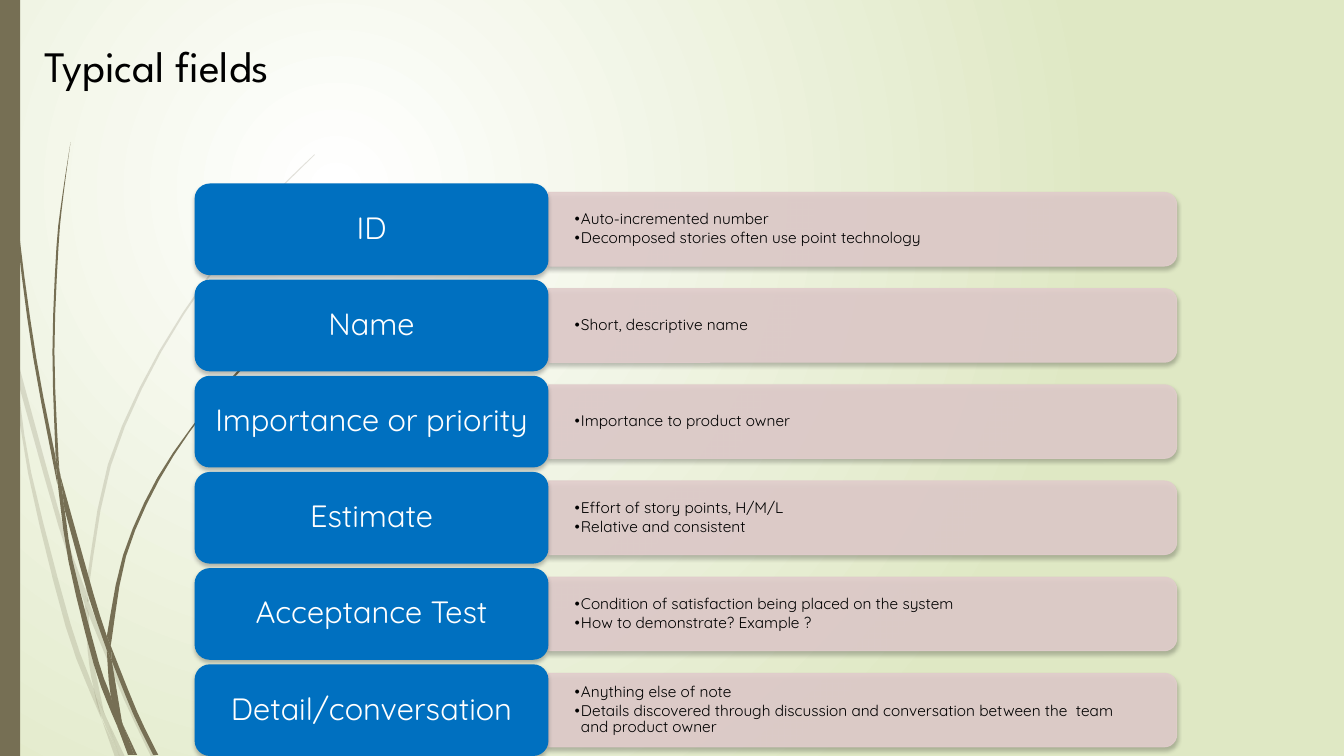
"""Build the slide on the typical fields of a user story."""
from dataclasses import dataclass

from lxml.etree import SubElement
from pptx import Presentation
from pptx.dml.color import RGBColor
from pptx.enum.shapes import MSO_SHAPE as Preset
from pptx.enum.text import MSO_ANCHOR as Anchor, MSO_AUTO_SIZE as AutoSize, PP_ALIGN as Align
from pptx.oxml.ns import qn
from pptx.util import Inches, Pt

TITLE = "Typical fields"
FIELDS = [
    ("ID", ["Auto-incremented number", "Decomposed stories often use point technology"]),
    ("Name", ["Short, descriptive name"]),
    ("Importance or priority", ["Importance to product owner"]),
    ("Estimate", ["Effort of story points, H/M/L", "Relative and consistent"]),
    ("Acceptance Test", ["Condition of satisfaction being placed on the system",
                         "How to demonstrate? Example ?"]),
    ("Detail/conversation", [
        "Anything else of note",
        "Details discovered through discussion and conversation between the  team and product owner",
    ]),
]
PALE_BLADES = [
    ([(0.11, 3.5), (0.09, 3.22), (0, 2.82)], [(0, 2.99), (0.1, 3.44), (0.11, 3.5)]),
    ([(0.14, 3.45), (0.62, 5.2), (0.85, 5.86)], [(0.84, 5.99), (0.58, 5.22), (0.17, 3.76)]),
    ([(0.88, 5.96), (0.92, 6.07), (1.27, 6.92), (1.55, 7.51)],
     [(1.5, 7.51), (1.23, 6.94), (0.88, 6.1)]),
    ([(1.05, 7.11), (1.24, 7.51)], [(1.19, 7.51), (1.05, 7.11)]),
    ([(0.11, 3.5), (0.17, 3.76), (0.31, 4.69), (0.7, 6.19), (0.93, 6.83), (1.01, 7.14)],
     [(0.92, 6.93), (0.65, 6.21), (0.28, 4.7), (0.11, 3.5)]),
    ([(0.84, 5.99), (0.87, 6.46), (0.93, 6.83), (1.05, 7.11)],
     [(1.03, 7.06), (0.91, 6.46), (0.88, 6.08)]),
    ([(3.12, 1.53), (2.89, 1.75), (2.68, 1.97), (2.28, 2.44), (1.58, 3.48), (1.07, 4.61),
      (0.85, 5.84)],
     [(0.88, 5.96), (0.88, 5.84), (1.1, 4.62), (1.6, 3.49), (2.29, 2.45), (2.68, 1.98),
      (3.12, 1.54)]),
    ([(1.01, 7.14), (1.14, 7.51)], [(1.19, 7.51), (1.01, 7.14)]),
    ([(0.85, 5.86), (0.84, 5.99)], [(0.88, 6.1), (0.88, 5.96)]),
    ([(0.93, 6.83), (0.99, 7.07), (1.19, 7.51)], [(1.19, 7.51), (1.05, 7.11), (0.96, 6.92)]),
]
DARK_BLADES = [
    ([(0.03, 0), (0.04, 0.48), (0.07, 1.1), (0.17, 2.33), (0.33, 3.55), (0.57, 4.81)],
     [(0.55, 4.53), (0.36, 3.55), (0.19, 2.32), (0.08, 1.09), (0.04, 0)]),
    ([(0.6, 4.72), (0.93, 5.9), (1.06, 6.31)], [(1.06, 6.45), (0.88, 5.92), (0.64, 5.05)]),
    ([(1.1, 6.41), (1.36, 7.06), (1.57, 7.49)], [(1.52, 7.49), (1.32, 7.08), (1.11, 6.56)]),
    ([(0.57, 4.77), (0.64, 5.05), (0.72, 5.56), (0.98, 6.57), (1.1, 6.91), (1.17, 7.22)],
     [(1.11, 7.08), (0.93, 6.59), (0.68, 5.57), (0.57, 4.77)]),
    ([(0.7, 1.41), (0.62, 1.93), (0.56, 2.45), (0.52, 3.49), (0.55, 4.49)],
     [(0.6, 4.72), (0.58, 4.53), (0.54, 3.49), (0.58, 2.45), (0.63, 1.93), (0.7, 1.41)]),
    ([(1.22, 7.19), (1.36, 7.49)], [(1.33, 7.49), (1.22, 7.19)]),
    ([(0.55, 4.49), (0.57, 4.77), (0.64, 5.05)], [(0.64, 5.05), (0.6, 4.72)]),
    ([(2.6, 3.44), (2.31, 3.73), (2.04, 4.05), (1.56, 4.74), (1.22, 5.51), (1.06, 6.31)],
     [(1.1, 6.41), (1.11, 6.33), (1.25, 5.52), (1.58, 4.76), (2.05, 4.06), (2.61, 3.44)]),
    ([(1.17, 7.22), (1.27, 7.49)], [(1.31, 7.49), (1.17, 7.22)]),
    ([(1.06, 6.45), (1.1, 6.91), (1.22, 7.19)], [(1.21, 7.16), (1.11, 6.56)]),
    ([(1.06, 6.31), (1.06, 6.45)], [(1.11, 6.56), (1.1, 6.41)]),
    ([(1.1, 6.91), (1.17, 7.22), (1.3, 7.49)], [(1.33, 7.49), (1.22, 7.19), (1.1, 6.91)]),
]


@dataclass(frozen=True)
class Theme:
    olive: str = "766F54"
    blue: str = "0070C0"
    rose: str = "E1CDCC"
    white: str = "FFFFFF"
    green: str = "DFE8C4"
    black: str = "000000"
    title_font: str = "League Spartan"
    text_font: str = "Quicksand"
    title_size: int = 31
    label_size: int = 22
    detail_size: int = 11


THEME = Theme()
WIDTH, HEIGHT = 13.33, 7.5
LABEL_LEFT, LABEL_WIDTH, LABEL_HEIGHT = 1.93, 3.51, 0.91
PANEL_WIDTH, PANEL_HEIGHT = 6.23, 0.73
DETAIL_LEFT, DETAIL_WIDTH, DETAIL_HEIGHT = 5.43, 6.2, 0.66
FIRST_TOP = 1.82
ROW_PITCH = (HEIGHT - LABEL_HEIGHT - FIRST_TOP) / (len(FIELDS) - 1)


def color(value):
    return RGBColor.from_string(value)


def write(frame, lines, *, font, size, ink, align=Align.LEFT, anchor=Anchor.MIDDLE,
          spacing=0.9, after=0, insets=(0.1, 0.05), bullet=False):
    frame.word_wrap = True
    frame.auto_size = AutoSize.NONE
    frame.vertical_anchor = anchor
    frame.margin_left = frame.margin_right = Inches(insets[0])
    frame.margin_top = frame.margin_bottom = Inches(insets[1])
    for index, line in enumerate(lines):
        paragraph = frame.add_paragraph() if index else frame.paragraphs[0]
        paragraph.alignment = align
        paragraph.line_spacing = spacing
        paragraph.space_before = Pt(0)
        paragraph.space_after = Pt(after)
        run = paragraph.add_run()
        run.text = line
        run.font.name, run.font.size = font, Pt(size)
        run.font.color.rgb = color(ink)
        if bullet:
            paragraph.level = 1
            properties = paragraph._p.get_or_add_pPr()
            properties.set("marL", str(Pt(4.5)))
            properties.set("indent", str(Pt(-4.5)))
            SubElement(properties, qn("a:buFont"), typeface=font)
            SubElement(properties, qn("a:buChar"), char="•")


def paint(shape, fill, *, opacity=100, outline=None, shadow=False):
    shape.fill.solid()
    shape.fill.fore_color.rgb = color(fill)
    if outline:
        shape.line.color.rgb = color(outline)
        shape.line.width = Pt(0.75)
    else:
        shape.line.fill.background()
    properties = shape.element.spPr
    if opacity < 100:
        for tint in properties.iter(qn("a:srgbClr")):
            SubElement(tint, qn("a:alpha"), val=str(opacity * 1000))
    shape.shadow.inherit = False
    if shadow:
        outer = SubElement(properties.find(qn("a:effectLst")), qn("a:outerShdw"),
                           blurRad=str(Pt(3)), dist=str(Pt(2)), dir="5400000")
        tint = SubElement(outer, qn("a:srgbClr"), val=THEME.black)
        SubElement(tint, qn("a:alpha"), val="25000")


def add_shape(slide, preset, left, top, width, height):
    return slide.shapes.add_shape(preset, Inches(left), Inches(top), Inches(width), Inches(height))


def smooth(points, steps=3):
    padded = [points[0], *points, points[-1]]
    curve = [points[0]]
    for a, b, c, d in zip(padded, padded[1:], padded[2:], padded[3:]):
        for step in range(1, steps + 1):
            t = step / steps
            curve.append(tuple(
                (2 * q + (r - p) * t + (2 * p - 5 * q + 4 * r - s) * t ** 2
                 + (3 * q - p - 3 * r + s) * t ** 3) / 2
                for p, q, r, s in zip(a, b, c, d)))
    return curve


def add_blade(slide, edges, opacity):
    outline = [(Inches(x), Inches(y)) for edge in edges for x, y in smooth(edge)]
    builder = slide.shapes.build_freeform(*outline[0])
    builder.add_line_segments(outline[1:], close=True)
    paint(builder.convert_to_shape(), THEME.olive, opacity=opacity)


def set_background(slide):
    fill = slide.background.fill
    fill.gradient()
    for stop, tint in zip(fill.gradient_stops, (THEME.white, THEME.green)):
        stop.color.rgb = color(tint)
    gradient = next(slide.element.iter(qn("a:gradFill")))
    gradient.remove(gradient.find(qn("a:lin")))
    circle = SubElement(gradient, qn("a:path"), path="circle")
    SubElement(circle, qn("a:fillToRect"), l="50000", t="50000", r="100000", b="100000")


def add_field(slide, top, name, details):
    middle = top + LABEL_HEIGHT / 2
    panel_left = LABEL_LEFT + LABEL_WIDTH + (PANEL_WIDTH - PANEL_HEIGHT) / 2
    panel = add_shape(slide, Preset.ROUND_2_SAME_RECTANGLE, panel_left,
                      middle - PANEL_WIDTH / 2, PANEL_HEIGHT, PANEL_WIDTH)
    panel.rotation = 90
    paint(panel, THEME.rose, opacity=90, outline=THEME.rose, shadow=True)
    box = slide.shapes.add_textbox(Inches(DETAIL_LEFT), Inches(middle - DETAIL_HEIGHT / 2),
                                   Inches(DETAIL_WIDTH), Inches(DETAIL_HEIGHT))
    write(box.text_frame, details, font=THEME.text_font, size=THEME.detail_size,
          ink=THEME.black, after=1.65, insets=(0.27, 0.14), bullet=True)
    label = add_shape(slide, Preset.ROUNDED_RECTANGLE, LABEL_LEFT, top, LABEL_WIDTH, LABEL_HEIGHT)
    paint(label, THEME.blue, shadow=True)
    write(label.text_frame, [name], font=THEME.text_font, size=THEME.label_size,
          ink=THEME.white, align=Align.CENTER, insets=(0.09, 0.05))


def main():
    presentation = Presentation()
    presentation.slide_width, presentation.slide_height = Inches(WIDTH), Inches(HEIGHT)
    slide = presentation.slides.add_slide(presentation.slide_layouts[5])
    set_background(slide)
    for blades, opacity in ((PALE_BLADES, 20), (DARK_BLADES, 100)):
        for edges in blades:
            add_blade(slide, edges, opacity)
    paint(add_shape(slide, Preset.RECTANGLE, 0, 0, 0.2, HEIGHT), THEME.olive)
    title = slide.shapes.title
    title.left, title.top = Inches(0.34), Inches(0.42)
    title.width, title.height = Inches(12.21), Inches(0.73)
    write(title.text_frame, [TITLE], font=THEME.title_font, size=THEME.title_size,
          ink=THEME.black, anchor=Anchor.TOP, spacing=Pt(THEME.title_size))
    for row, (name, details) in enumerate(FIELDS):
        add_field(slide, FIRST_TOP + row * ROW_PITCH, name, details)
    presentation.save("out.pptx")


if __name__ == "__main__":
    main()
